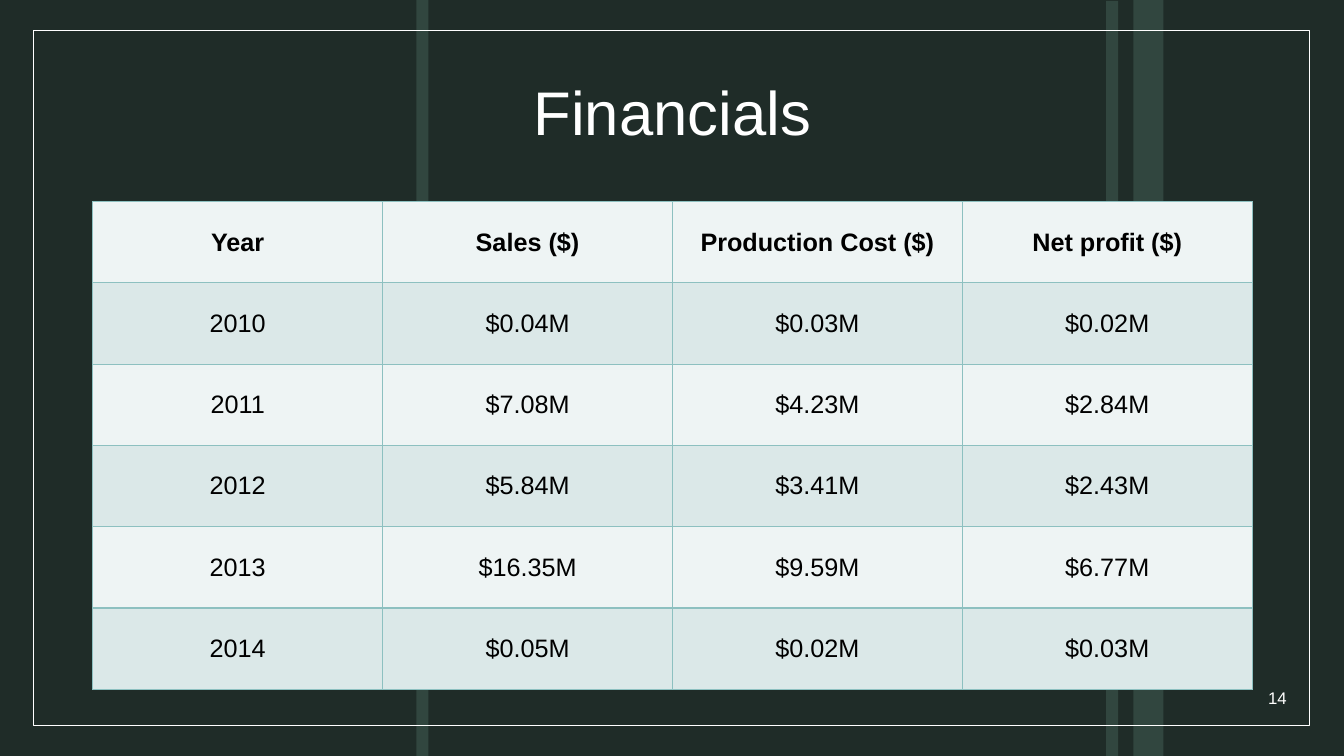
from dataclasses import dataclass

from lxml.etree import SubElement
from pptx import Presentation
from pptx.dml.color import RGBColor
from pptx.enum.shapes import MSO_SHAPE
from pptx.enum.text import MSO_ANCHOR, PP_ALIGN
from pptx.oxml.ns import qn
from pptx.util import Inches, Pt

TITLE = "Financials"
PAGE = "14"
FINANCIALS = [
    ("Year", "Sales ($)", "Production Cost ($)", "Net profit ($)"),
    ("2010", "$0.04M", "$0.03M", "$0.02M"),
    ("2011", "$7.08M", "$4.23M", "$2.84M"),
    ("2012", "$5.84M", "$3.41M", "$2.43M"),
    ("2013", "$16.35M", "$9.59M", "$6.77M"),
    ("2014", "$0.05M", "$0.02M", "$0.03M"),
]

WIDTH, HEIGHT = 13.33, 7.5
STRIPES = [(10.97, 0.01, 0.12), (4.13, 0, 0.12), (11.24, 0, 0.3)]
FRAME = (0.33, 0.3, 12.66, 6.9)
TITLE_BOX = (0.42, 0.42, 12.5, 1.45)
TABLE_BOX = (0.92, 2, 11.5, 4.84)
PAGE_BOX = (11.94, 6.72, 0.92, 0.4)


@dataclass(frozen=True)
class Theme:
    font: str = "Arial"
    background: str = "1F2C28"
    stripe: str = "31463F"
    light: str = "FFFFFF"
    dark: str = "000000"
    bands: tuple = ("EEF4F4", "DBE8E8")
    border: str = "8DC0C0"
    title_size: int = 44
    table_size: int = 18
    page_size: int = 12
    line: int = 1


THEME = Theme()


def rgb(color):
    return RGBColor.from_string(color)


def inches(box):
    return [Inches(v) for v in box]


def write(tf, text, size, color, align=PP_ALIGN.CENTER, bold=False):
    tf.text = text
    tf.word_wrap = True
    p = tf.paragraphs[0]
    p.alignment = align
    font = p.runs[0].font
    font.name, font.size, font.bold = THEME.font, Pt(size), bold
    font.color.rgb = rgb(color)
    return p


def add_rect(s, box, fill=None, line=None):
    sp = s.shapes.add_shape(MSO_SHAPE.RECTANGLE, *inches(box))
    sp.shadow.inherit = False
    if fill:
        sp.fill.solid()
        sp.fill.fore_color.rgb = rgb(fill)
    else:
        sp.fill.background()
    if line:
        sp.line.color.rgb = rgb(line)
        sp.line.width = Pt(THEME.line)
    else:
        sp.line.fill.background()


def set_borders(cell):
    tcPr = cell._tc.get_or_add_tcPr()
    for side in ("a:lnL", "a:lnR", "a:lnT", "a:lnB"):
        ln = SubElement(tcPr, qn(side), w=str(Pt(THEME.line)))
        fill = SubElement(ln, qn("a:solidFill"))
        SubElement(fill, qn("a:srgbClr"), val=THEME.border)


def add_financials(s):
    rows, cols = len(FINANCIALS), len(FINANCIALS[0])
    table = s.shapes.add_table(rows, cols, *inches(TABLE_BOX)).table
    for i, values in enumerate(FINANCIALS):
        for j, value in enumerate(values):
            cell = table.cell(i, j)
            write(cell.text_frame, value, THEME.table_size, THEME.dark, bold=i == 0)
            cell.vertical_anchor = MSO_ANCHOR.MIDDLE
            set_borders(cell)
            cell.fill.solid()
            cell.fill.fore_color.rgb = rgb(THEME.bands[i % 2])


def add_title(s):
    title = s.shapes.title
    title.left, title.top, title.width, title.height = inches(TITLE_BOX)
    p = write(title.text_frame, TITLE, THEME.title_size, THEME.light)
    p.line_spacing = 0.9
    title.text_frame.vertical_anchor = MSO_ANCHOR.MIDDLE
    s.shapes.element.append(title.element)


def add_page_number(s):
    tf = s.shapes.add_textbox(*inches(PAGE_BOX)).text_frame
    write(tf, PAGE, THEME.page_size, THEME.light, PP_ALIGN.RIGHT)
    tf.vertical_anchor = MSO_ANCHOR.MIDDLE


def main():
    prs = Presentation()
    prs.slide_width, prs.slide_height = Inches(WIDTH), Inches(HEIGHT)
    s = prs.slides.add_slide(prs.slide_layouts[5])
    s.background.fill.solid()
    s.background.fill.fore_color.rgb = rgb(THEME.background)
    for left, top, width in STRIPES:
        add_rect(s, (left, top, width, HEIGHT - top), fill=THEME.stripe)
    add_rect(s, FRAME, line=THEME.light)
    add_title(s)
    add_financials(s)
    add_page_number(s)
    prs.save("out.pptx")


if __name__ == "__main__":
    main()
